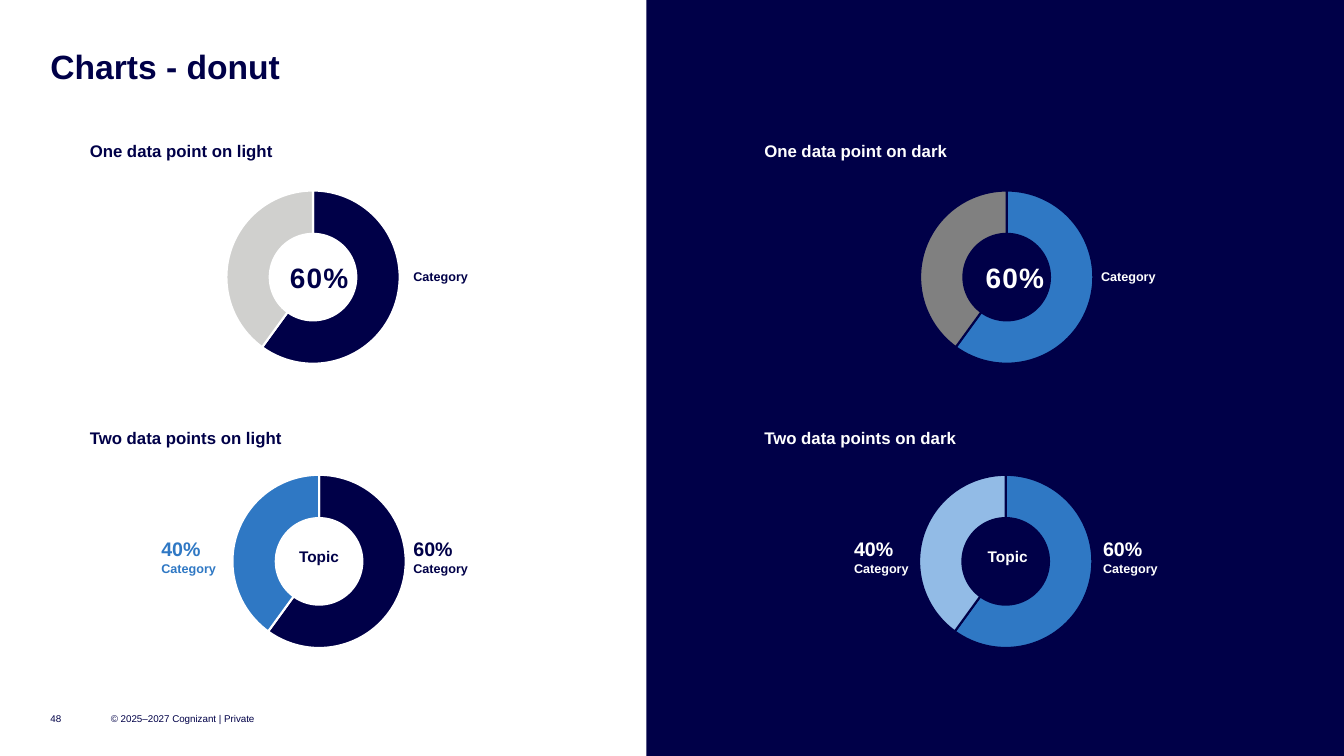
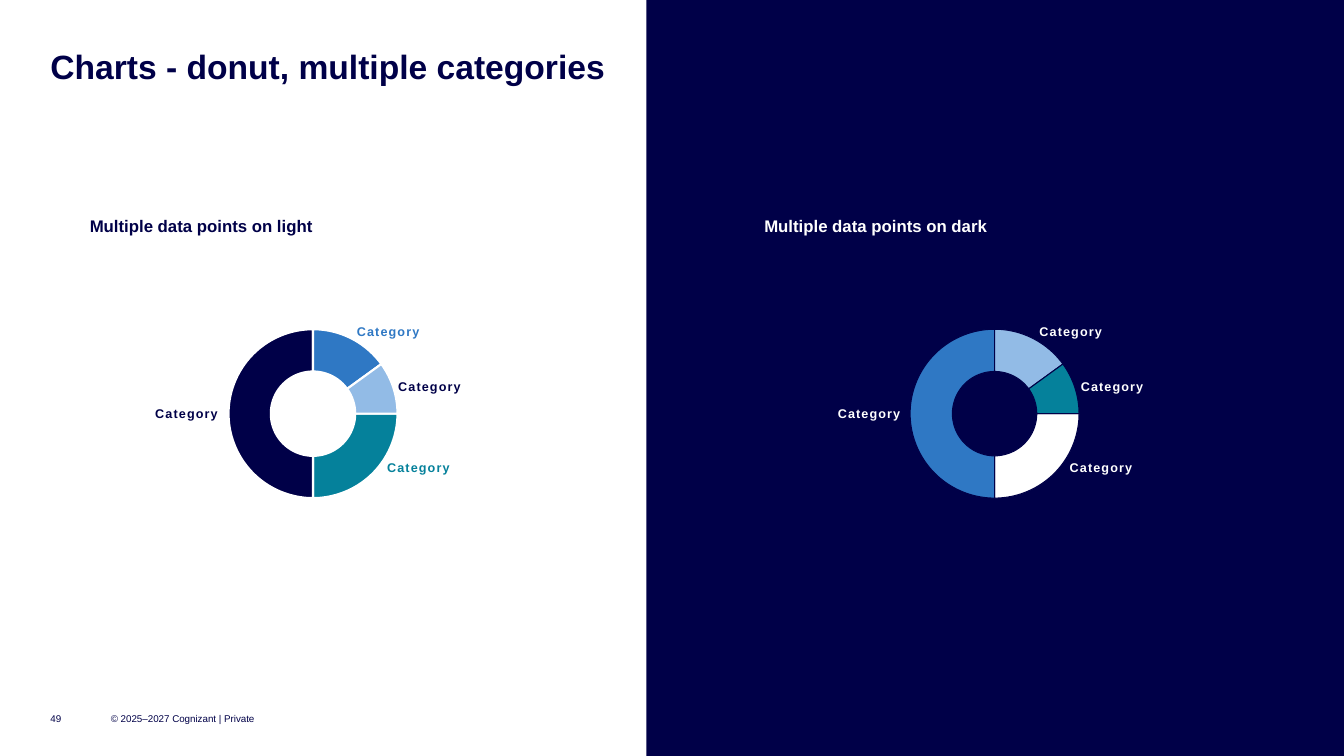
from pptx import Presentation
from pptx.chart.data import CategoryChartData
from pptx.dml.color import RGBColor
from pptx.enum.chart import XL_CHART_TYPE
from pptx.enum.shapes import MSO_SHAPE
from pptx.enum.text import MSO_ANCHOR, PP_ALIGN
from pptx.util import Emu, Pt
from lxml import etree

PX = 9144
FONT = "Arial"
NAVY, BLUE, PALE, TEAL = "000048", "2F78C4", "92BBE6", "05819B"
WHITE, SILVER, GREY = "FFFFFF", "D0D0CE", "808080"
C = "{http://schemas.openxmlformats.org/drawingml/2006/chart}"
DONUT_SHARE = 0.86


def rgb(colour):
    return RGBColor.from_string(colour)


def write(slide, box, lines, colour, bold=True, wrap=False, centred=False,
          anchor=MSO_ANCHOR.TOP, tracking=0, line_spacing=1.0):
    frame = slide.shapes.add_textbox(*[Emu(v * PX) for v in box]).text_frame
    frame.margin_left = frame.margin_top = frame.margin_right = frame.margin_bottom = 0
    frame.word_wrap = wrap
    frame.vertical_anchor = anchor
    for index, (text, size) in enumerate(lines):
        paragraph = frame.add_paragraph() if index else frame.paragraphs[0]
        paragraph.alignment = PP_ALIGN.CENTER if centred else PP_ALIGN.LEFT
        paragraph.line_spacing = line_spacing
        run = paragraph.add_run()
        run.text = text
        run.font.name = FONT
        run.font.size = Pt(size)
        run.font.bold = bold
        run.font.color.rgb = rgb(colour)
        if tracking:
            run._r.get_or_add_rPr().set("spc", str(tracking))


def draw_donut(slide, box, values, colours, gap_colour, gap=1.5, start=0):
    data = CategoryChartData()
    data.categories = [str(n + 1) for n in range(len(values))]
    data.add_series("Series 1", values)
    chart = slide.shapes.add_chart(
        XL_CHART_TYPE.DOUGHNUT, *[Emu(v * PX) for v in box], data).chart
    chart.has_legend = False
    chart.has_title = False
    chart.font.name = FONT
    chart.font.size = Pt(10)
    chart.font.color.rgb = rgb(NAVY)
    plot = chart.plots[0]
    plot.vary_by_categories = True
    plot.has_data_labels = False
    for index, colour in enumerate(colours):
        point = plot.series[0].points[index].format
        point.fill.solid()
        point.fill.fore_color.rgb = rgb(colour)
        point.line.color.rgb = rgb(gap_colour)
        point.line.width = Pt(gap)

    space = chart._chartSpace
    space.find(f".//{C}firstSliceAng").set("val", str(start))
    space.find(f".//{C}holeSize").set("val", "68")
    area = space.find(f".//{C}plotArea")
    for old in area.findall(f"{C}layout"):
        area.remove(old)
    layout = etree.Element(f"{C}layout")
    manual = etree.SubElement(layout, f"{C}manualLayout")
    width = round(DONUT_SHARE * box[3] / box[2], 3)
    for tag, value in (("layoutTarget", "inner"), ("xMode", "edge"), ("yMode", "edge"),
                       ("x", (1 - width) / 2), ("y", (1 - DONUT_SHARE) / 2),
                       ("w", width), ("h", DONUT_SHARE)):
        etree.SubElement(manual, f"{C}{tag}").set("val", str(value))
    area.insert(0, layout)


prs = Presentation()
prs.slide_width = Emu(1333 * PX)
prs.slide_height = Emu(750 * PX)

slides = []
for number, title in ((48, "Charts - donut"), (49, "Charts - donut, multiple categories")):
    slide = prs.slides.add_slide(prs.slide_layouts[6])
    dark_half = slide.shapes.add_shape(
        MSO_SHAPE.RECTANGLE, Emu(641 * PX), 0, Emu(692 * PX), prs.slide_height)
    dark_half.shadow.inherit = False
    dark_half.fill.solid()
    dark_half.fill.fore_color.rgb = rgb(NAVY)
    dark_half.line.fill.background()
    write(slide, (50, 50, 1233, 36), [(title, 24)], NAVY, wrap=True, line_spacing=0.9)
    for left, width, text in ((50, 40, str(number)),
                              (110, 150, "© 2025–2027 Cognizant | Private")):
        write(slide, (left, 700, width, 25), [(text, 7)], NAVY,
              bold=False, wrap=True, anchor=MSO_ANCHOR.MIDDLE)
    slides.append(slide)
single_and_pair, multiple = slides

halves = (
    ("light", 89, NAVY, WHITE),
    ("dark", 758, WHITE, NAVY),
)

pair_details = (
    dict(one_left=160, one_colours=(NAVY, SILVER), share_left=287, category_left=410,
         two_left=166, two_colours=(NAVY, BLUE), topic_left=296,
         minor_left=160, minor_colour=BLUE, major_left=410),
    dict(one_left=848, one_colours=(BLUE, GREY), share_left=977, category_left=1092,
         two_left=847, two_colours=(BLUE, PALE), topic_left=979,
         minor_left=847, minor_colour=WHITE, major_left=1094),
)
for (tone, heading_left, ink, ground), d in zip(halves, pair_details):
    for top, subject in ((140, "One data point"), (424, "Two data points")):
        write(single_and_pair, (heading_left, top, 258, 20),
              [(f"{subject} on {tone}", 12)], ink, wrap=True)

    draw_donut(single_and_pair, (d["one_left"], 175, 301, 200), (60, 40),
               d["one_colours"], ground)
    write(single_and_pair, (d["share_left"], 258, 59, 34), [("60%", 20)], ink,
          centred=True, tracking=80)
    write(single_and_pair, (d["category_left"], 267, 55, 15), [("Category", 9)], ink)

    draw_donut(single_and_pair, (d["two_left"], 457, 301, 200), (60, 40),
               d["two_colours"], ground)
    write(single_and_pair, (d["topic_left"], 543, 41, 19), [("Topic", 11)], ink, centred=True)
    for left, share, colour in ((d["minor_left"], "40%", d["minor_colour"]),
                                (d["major_left"], "60%", ink)):
        write(single_and_pair, (left, 533, 55, 39), [(share, 14), ("Category", 9)], colour)

category_spots = ((0, 403), (200, 321), (241, 376), (230, 456))
multiple_details = (
    (164, (TEAL, NAVY, BLUE, PALE), 1.5, 154, (NAVY, BLUE, NAVY, TEAL)),
    (840, (WHITE, BLUE, PALE, TEAL), 0.75, 831, (WHITE,) * 4),
)
for (tone, heading_left, ink, ground), (left, colours, gap, labels_left, label_colours) in zip(
        halves, multiple_details):
    write(multiple, (heading_left, 214, 258, 20),
          [(f"Multiple data points on {tone}", 12)], ink, wrap=True)
    draw_donut(multiple, (left, 313, 293, 195), (25, 50, 15, 10), colours, ground, gap, 90)
    for (offset, top), colour in zip(category_spots, label_colours):
        write(multiple, (labels_left + offset, top, 64, 15), [("Category", 9)], colour,
              tracking=80)

prs.save("out.pptx")
